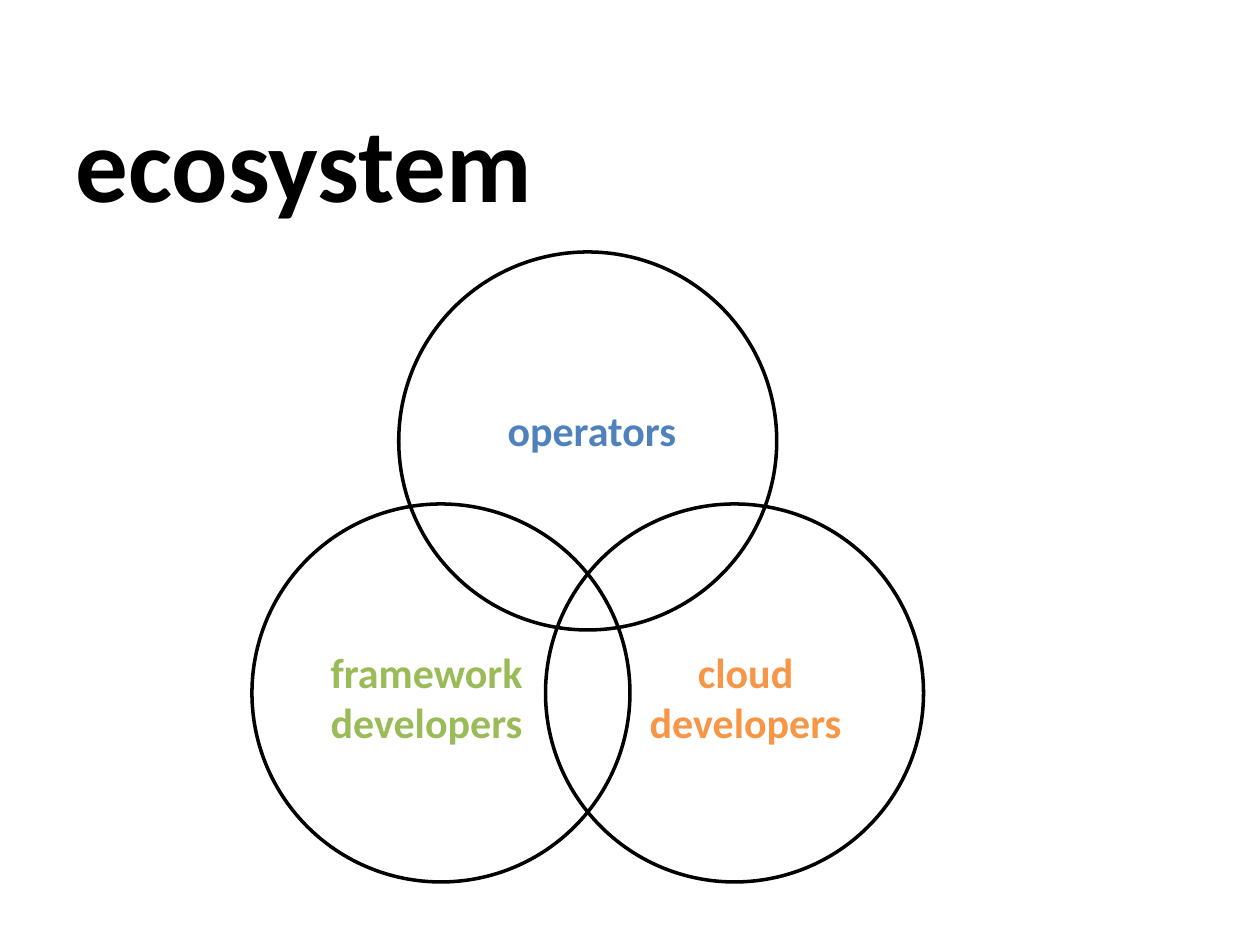
from dataclasses import dataclass

from pptx import Presentation
from pptx.dml.color import RGBColor as Color
from pptx.enum.shapes import MSO_SHAPE as Shape
from pptx.enum.text import MSO_ANCHOR as Anchor, MSO_AUTO_SIZE as AutoSize, PP_ALIGN as Align
from pptx.util import Inches, Pt


@dataclass(frozen=True)
class Theme:
    """Colours, font and sizes used on the slide."""
    font: str = "Calibri"
    ink: str = "000000"
    operators: str = "4F81BD"
    framework: str = "9BBB59"
    platform: str = "F79646"
    title_size: int = 60
    label_size: int = 24
    outline: int = 2


THEME = Theme()
WIDTH, HEIGHT = 10, 7.5


def write_lines(frame, lines, size, color, align):
    """Fill a text frame with bold lines of one style."""
    frame.text = "\n".join(lines)
    for para in frame.paragraphs:
        para.alignment = align
        for span in para.runs:
            span.font.name = THEME.font
            span.font.size = Pt(size)
            span.font.bold = True
            span.font.color.rgb = Color.from_string(color)


def place_title(page, box, text):
    """Move the title placeholder to its box and format it."""
    title = page.shapes.title
    title.left, title.top, title.width, title.height = map(Inches, box)
    title.text_frame.vertical_anchor = Anchor.MIDDLE
    write_lines(title.text_frame, [text], THEME.title_size, THEME.ink, Align.LEFT)


def draw_circle(page, box):
    """Draw one unfilled circle of the diagram."""
    circle = page.shapes.add_shape(Shape.OVAL, *map(Inches, box))
    circle.shadow.inherit = False
    circle.fill.background()
    circle.line.color.rgb = Color.from_string(THEME.ink)
    circle.line.width = Pt(THEME.outline)


def place_label(page, box, lines, color):
    """Place a centred label that keeps its own line breaks."""
    label = page.shapes.add_textbox(*map(Inches, box))
    label.text_frame.word_wrap = False
    label.text_frame.auto_size = AutoSize.SHAPE_TO_FIT_TEXT
    write_lines(label.text_frame, lines, THEME.label_size, color, Align.CENTER)


def draw_venn(page, box):
    """Draw three overlapping circles and their labels inside a box."""
    left, top, width, height = box
    diameter = height * 0.6
    right, bottom = left + width - diameter, top + height - diameter
    middle = (left + right) / 2
    for x, y in ((middle, top), (right, bottom), (left, bottom)):
        draw_circle(page, (x, y, diameter, diameter))

    label_width, line_height = diameter * 0.6, 0.4
    labels = (
        (0.735, 0.616, ("cloud", "developers"), THEME.platform),
        (0.506, 0.232, ("operators",), THEME.operators),
        (0.26, 0.616, ("framework", "developers"), THEME.framework),
    )
    for center, start, lines, color in labels:
        x = left + center * width - label_width / 2
        y = top + start * height
        place_label(page, (x, y, label_width, 0.1 + line_height * len(lines)), lines, color)


def main():
    """Build the ecosystem slide."""
    deck = Presentation()
    deck.slide_width, deck.slide_height = Inches(WIDTH), Inches(HEIGHT)
    page = deck.slides.add_slide(deck.slide_layouts[5])
    place_title(page, (0.05 * WIDTH, 0.65, 0.9 * WIDTH, HEIGHT / 6), "ecosystem")
    draw_venn(page, (2, 2, 5.33, 5))
    deck.save("out.pptx")


if __name__ == "__main__":
    main()
